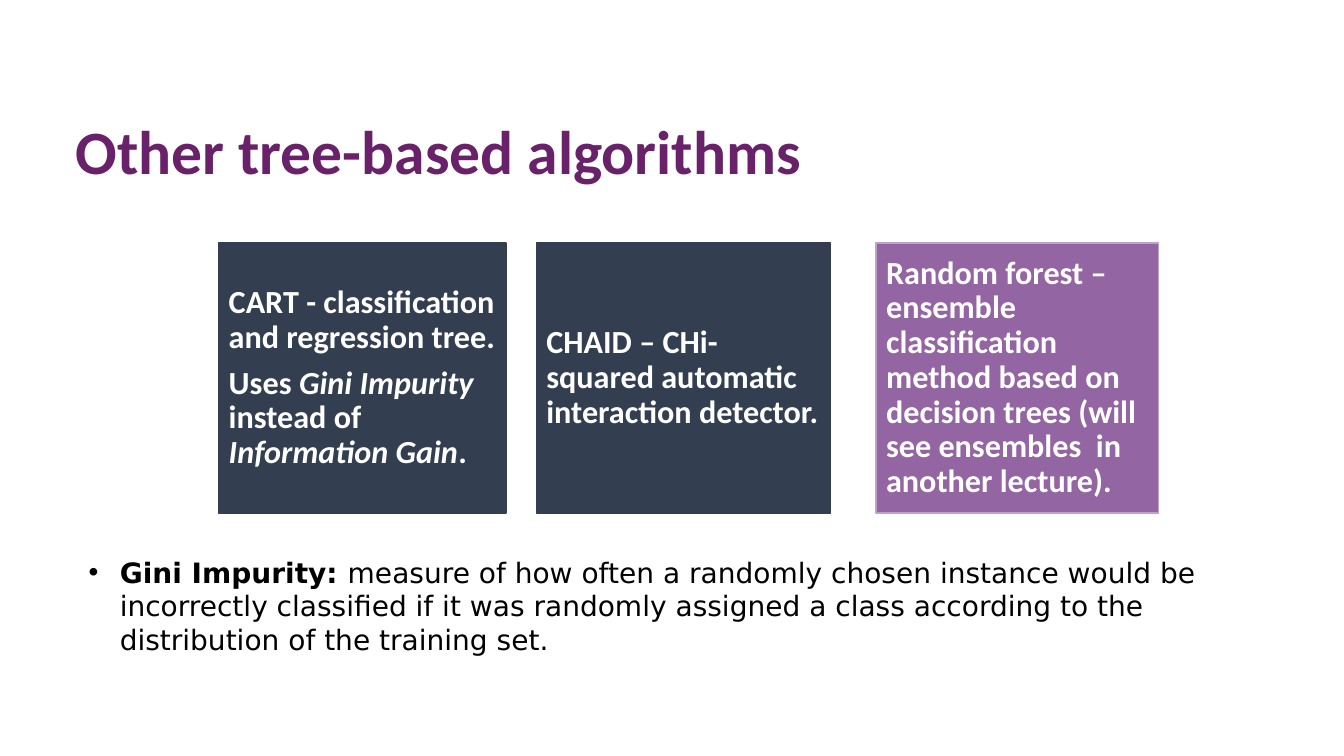
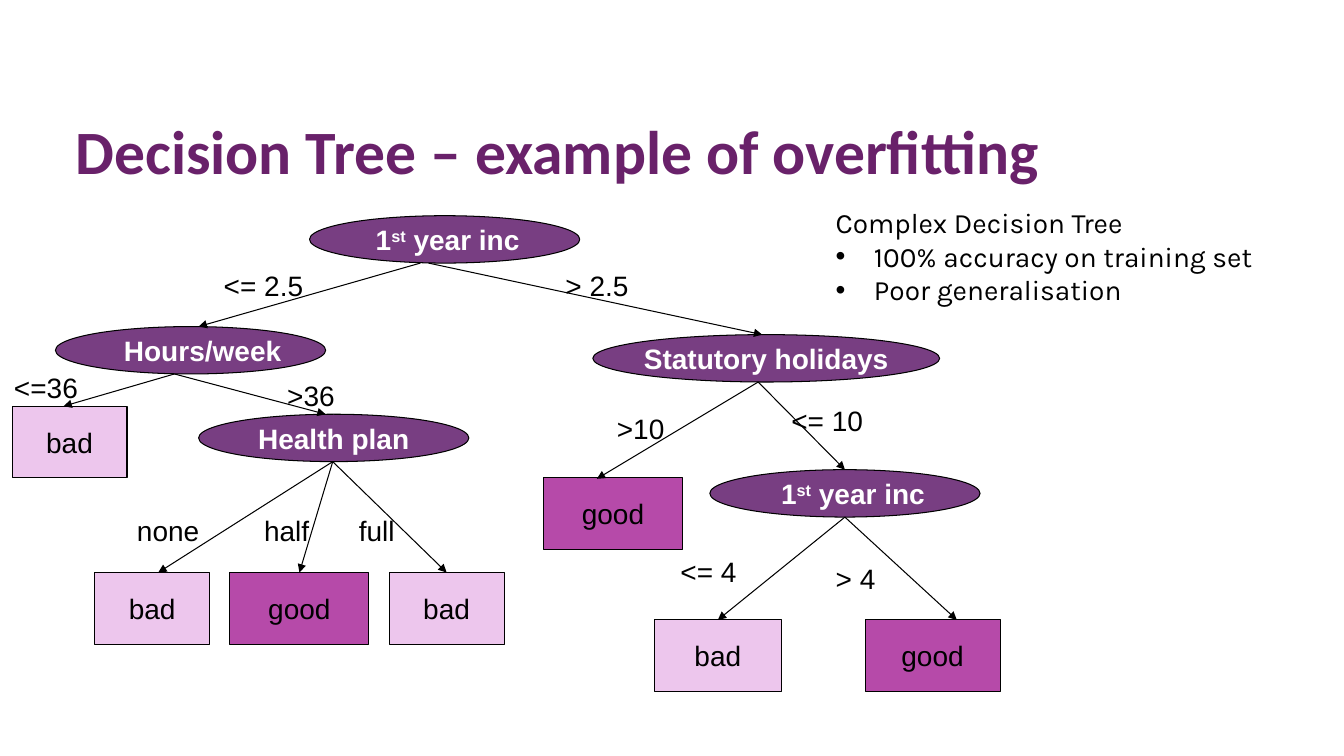
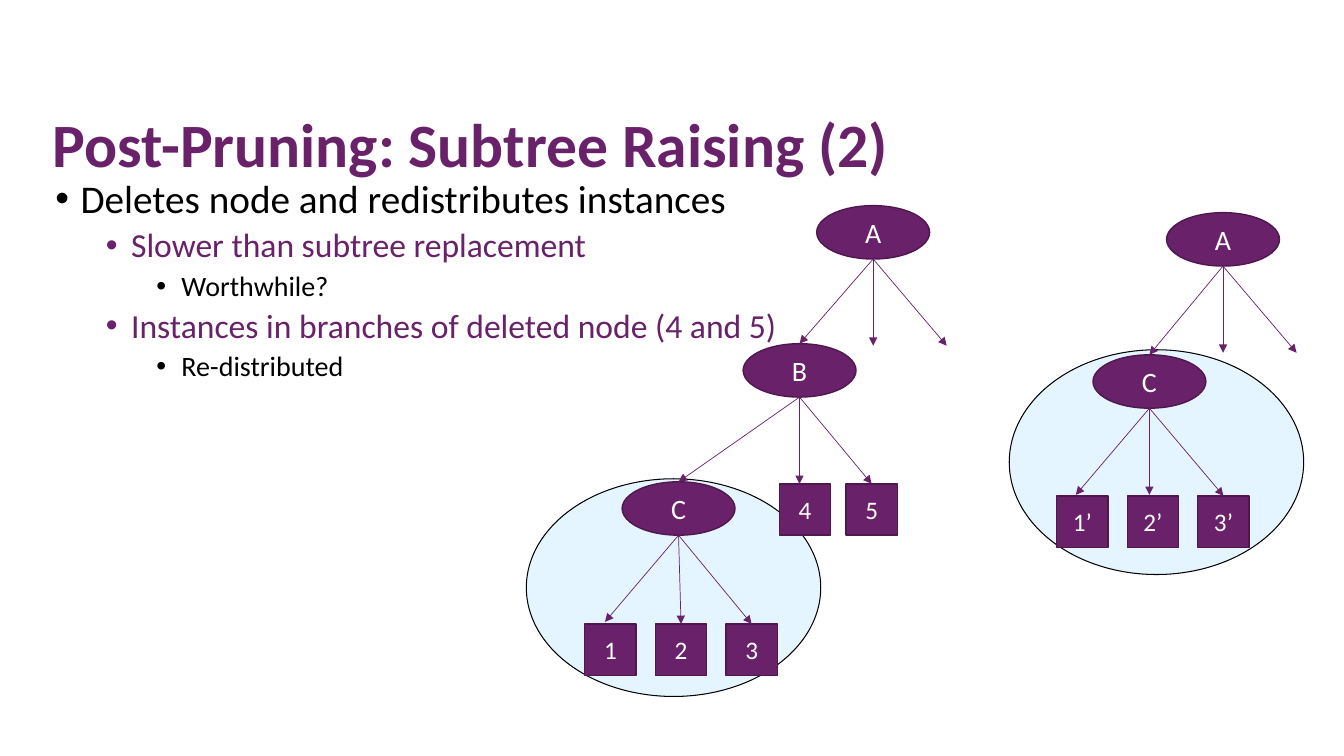
"""Build three lecture slides on decision trees, overfitting and pruning."""
import pptx
import pptx.dml.color
import pptx.enum.shapes
import pptx.enum.text
import pptx.oxml
import pptx.oxml.ns
import pptx.util
from lxml import etree

Inches, Pt = pptx.util.Inches, pptx.util.Pt
RGBColor = pptx.dml.color.RGBColor
Shape = pptx.enum.shapes.MSO_SHAPE
Align = pptx.enum.text.PP_ALIGN
Anchor = pptx.enum.text.MSO_ANCHOR
qn = pptx.oxml.ns.qn

BLACK = RGBColor(0x00, 0x00, 0x00)
WHITE = RGBColor(0xFF, 0xFF, 0xFF)
PURPLE = RGBColor(0x69, 0x21, 0x6A)
DARK_PURPLE = RGBColor(0x4E, 0x18, 0x4E)
SLATE = RGBColor(0x33, 0x3F, 0x50)
LILAC = RGBColor(0x93, 0x65, 0xA3)
LILAC_EDGE = RGBColor(0xBD, 0xA1, 0xC7)
NODE = RGBColor(0x78, 0x3E, 0x82)
BAD = RGBColor(0xED, 0xC6, 0xED)
GOOD = RGBColor(0xB6, 0x4A, 0xA9)
HALO = RGBColor(0xCC, 0xEC, 0xFF)

CARD_TOP, CARD_HEIGHT = 2.41, 2.68
CARDS = [
    (2.17, 2.85, SLATE, SLATE, [
        ["CART - classification and regression tree."],
        ["Uses ", ("Gini Impurity ", "i"), "instead of ", ("Information Gain", "i"), "."],
    ]),
    (5.32, 2.92, SLATE, SLATE, [["CHAID – CHi-squared automatic interaction detector."]]),
    (8.69, 2.8, LILAC, LILAC_EDGE, [[
        "Random forest – ensemble classification method based on decision trees "
        "(will see ensembles  in another lecture)."]]),
]
GINI = [
    ("Gini Impurity: ", "b"),
    "measure of how often a randomly chosen instance would be incorrectly classified "
    "if it was randomly assigned a class according to the distribution of the training set.",
]

FIRST_YEAR = ["1", ("st", "sup"), " year inc"]
NODE_HEIGHT, LEAF_HEIGHT = 0.47, 0.71
DECISIONS = [
    (FIRST_YEAR, 3.07, 2.14, 2.68, 0.03),
    (["Hours/week"], 0.55, 3.24, 2.68, 0.12),
    (["Statutory holidays"], 5.88, 3.32, 3.44, 0),
    (["Health plan"], 1.97, 4.11, 2.68, 0),
    (FIRST_YEAR, 7.04, 4.66, 2.68, 0.08),
]
LEAF_COLORS = {"bad": BAD, "good": GOOD}
LEAVES = [
    ("bad", 0.12, 4.03, 1.14), ("good", 5.39, 4.74, 1.38),
    ("bad", 0.94, 5.68, 1.14), ("good", 2.28, 5.68, 1.38), ("bad", 3.86, 5.68, 1.14),
    ("bad", 6.49, 6.15, 1.26), ("good", 8.58, 6.15, 1.34),
]
BRANCHES = [
    ("<= 2.5", 2.12, 2.61, (4.17, 2.61), (1.97, 3.24)),
    ("> 2.5", 5.51, 2.61, (4.25, 2.61), (7.56, 3.32)),
    ("<=36", 0.04, 3.63, (1.73, 3.71), (0.63, 4.03)),
    (">36", 2.75, 3.71, (1.73, 3.71), (3.23, 4.11)),
    (">10", 6.02, 4.03, (7.52, 3.79), (5.92, 4.75)),
    ("<= 10", 7.75, 3.95, (7.52, 3.79), (8.38, 4.66)),
    ("none", 1.26, 5.05, (3.3, 4.58), (1.57, 5.68)),
    ("half", 2.52, 5.05, (3.3, 4.58), (2.99, 5.68)),
    ("full", 3.46, 5.05, (3.3, 4.58), (4.41, 5.68)),
    ("<= 4", 6.65, 5.45, (8.38, 5.13), (7.12, 6.15)),
    ("> 4", 8.19, 5.52, (8.38, 5.13), (9.49, 6.15)),
]
NOTE = [
    ("Complex Decision Tree", False),
    ("100% accuracy on training set", True),
    ("Poor generalisation", True),
]

OUTLINE = [
    (0, "Deletes node and redistributes instances"),
    (1, "Slower than subtree replacement"),
    (2, "Worthwhile?"),
    (1, "Instances in branches of deleted node (4 and 5)"),
    (2, "Re-distributed"),
]
OUTLINE_STYLES = [(28, BLACK, 10), (24, PURPLE, 5), (20, BLACK, 5)]
HALOS = [(5.22, 4.75, 2.92, 2.16), (10.01, 3.47, 2.92, 2.23)]
SUBTREE_WIDTH, SUBTREE_HEIGHT, DROP, LEAF_SIDE = 1.12, 0.53, 0.86, 0.51
FAN = (-0.73, 0, 0.73)
SUBTREES = [
    ("A", 8.66, 2.04, FAN), ("B", 7.93, 3.41, (-1.2, 0, 0.73)), ("C", 6.73, 4.78, FAN),
    ("A", 12.13, 2.11, FAN), ("C", 11.4, 3.52, FAN),
]
LEAF_ROWS = [
    (["1", "2", "3"], 5.8, 6.19, 0.7),
    (["4", "5"], 7.73, 4.8, 0.66),
    (["1’", "2’", "3’"], 10.48, 4.92, 0.7),
]


def place(shape, left, top, width, height):
    """Move and size a shape in inches."""
    shape.left, shape.top = Inches(left), Inches(top)
    shape.width, shape.height = Inches(width), Inches(height)


def set_margins(frame, left=0, top=0, right=0, bottom=0):
    """Set the four insets of a text frame in inches."""
    frame.margin_left, frame.margin_right = Inches(left), Inches(right)
    frame.margin_top, frame.margin_bottom = Inches(top), Inches(bottom)


def add_paragraph(frame, index):
    """Return the first paragraph, or a new one after it."""
    return frame.add_paragraph() if index else frame.paragraphs[0]


def write(paragraph, runs, size, font, color, bold=None, align=None):
    """Fill a paragraph with plain or (text, style) runs."""
    paragraph.alignment = align
    paragraph.font.size, paragraph.font.name = Pt(size), font
    paragraph.font.color.rgb, paragraph.font.bold = color, bold
    for item in runs:
        text, style = (item, "") if isinstance(item, str) else item
        run = paragraph.add_run()
        run.text = text
        if style == "b":
            run.font.bold = True
        elif style == "i":
            run.font.italic = True
        elif style == "sup":
            run._r.get_or_add_rPr().set("baseline", "30000")


def add_bullet(paragraph, left, hang):
    """Give a paragraph a round bullet and a hanging indent."""
    properties = paragraph._p.get_or_add_pPr()
    properties.set("marL", str(Inches(left)))
    properties.set("indent", str(-Inches(hang)))
    etree.SubElement(properties, qn("a:buFont")).set("typeface", "Arial")
    etree.SubElement(properties, qn("a:buChar")).set("char", "•")


def add_slide(presentation, layout, title, left=0.65, top=1.12):
    """Add a slide with the shared title style."""
    slide = presentation.slides.add_slide(presentation.slide_layouts[layout])
    place(slide.shapes.title, left, top, 11.5, 0.83)
    frame = slide.shapes.title.text_frame
    frame.vertical_anchor = Anchor.MIDDLE
    write(frame.paragraphs[0], [title], 44, "Calibri", PURPLE, True, Align.LEFT)
    frame.paragraphs[0].line_spacing = 0.9
    return slide


def add_box(slide, kind, box, fill, edge, edge_width):
    """Add a filled, outlined preset shape."""
    shape = slide.shapes.add_shape(kind, *map(Inches, box))
    shape.shadow.inherit = False
    shape.fill.solid()
    shape.fill.fore_color.rgb = fill
    shape.line.color.rgb = edge
    shape.line.width = Pt(edge_width)
    shape.text_frame.vertical_anchor = Anchor.MIDDLE
    return shape


def add_node(slide, kind, box, fill, edge, edge_width, runs, size, font, color,
             bold=None, shift=0):
    """Add a tree node with one centred line of text."""
    shape = add_box(slide, kind, box, fill, edge, edge_width)
    shape.text_frame.word_wrap = False
    set_margins(shape.text_frame, left=2 * shift)
    write(shape.text_frame.paragraphs[0], runs, size, font, color, bold, Align.CENTER)
    return shape


def add_text_box(slide, left, top, width, height, wrap=True):
    """Add a text box and return its frame."""
    frame = slide.shapes.add_textbox(*map(Inches, (left, top, width, height))).text_frame
    frame.word_wrap = wrap
    return frame


def add_arrow(slide, start, end, color, width, targets):
    """Draw an arrow, joined to any target whose top middle it meets."""
    line = slide.shapes.add_connector(
        pptx.enum.shapes.MSO_CONNECTOR.STRAIGHT, *map(Inches, (*start, *end)))
    line.line.color.rgb = color
    line.line.width = Pt(width)
    etree.SubElement(line.line._get_or_add_ln(), qn("a:tailEnd")).set("type", "triangle")
    etree.SubElement(line._element.spPr, qn("a:effectLst"))
    for shape in targets:
        across = abs(shape.left + shape.width / 2 - Inches(end[0]))
        if across < Inches(0.03) and abs(shape.top - Inches(end[1])) < Inches(0.04):
            line.end_connect(shape, 0)


def build_algorithms(presentation):
    """Three cards above a definition."""
    slide = add_slide(presentation, 5, "Other tree-based algorithms")
    for left, width, fill, edge, paragraphs in CARDS:
        box = (left, CARD_TOP, width, CARD_HEIGHT)
        frame = add_box(slide, Shape.RECTANGLE, box, fill, edge, 1).text_frame
        frame.word_wrap = True
        set_margins(frame, 0.1, 0.1, 0.1, 0.1)
        for index, runs in enumerate(paragraphs):
            paragraph = add_paragraph(frame, index)
            write(paragraph, runs, 23, "Calibri", WHITE, True, Align.LEFT)
            paragraph.line_spacing, paragraph.space_after = 0.9, Pt(8)
    paragraph = add_text_box(slide, 0.78, 5.46, 11.5, 1.11).paragraphs[0]
    add_bullet(paragraph, 0.31, 0.31)
    write(paragraph, GINI, 20, "DejaVu Sans", BLACK)


def build_overfitting(presentation):
    """A full decision tree with a short note."""
    slide = add_slide(presentation, 5, "Decision Tree – example of overfitting")
    targets = []
    for runs, left, top, width, shift in DECISIONS:
        targets.append(add_node(
            slide, Shape.OVAL, (left, top, width, NODE_HEIGHT), NODE, BLACK, 0.75,
            runs, 20, "Arial", WHITE, True, shift))
    for label, left, top, width in LEAVES:
        targets.append(add_node(
            slide, Shape.RECTANGLE, (left, top, width, LEAF_HEIGHT), LEAF_COLORS[label],
            BLACK, 0.75, [label], 20, "Arial", BLACK))
    for label, left, top, start, end in BRANCHES:
        add_arrow(slide, start, end, BLACK, 0.75, targets)
        frame = add_text_box(slide, left, top, 1.09, 0.43, wrap=False)
        write(frame.paragraphs[0], [label], 20, "Arial", BLACK, align=Align.LEFT)
    frame = add_text_box(slide, 8.19, 1.99, 4.6, 1.11)
    for index, (text, bulleted) in enumerate(NOTE):
        paragraph = add_paragraph(frame, index)
        if bulleted:
            add_bullet(paragraph, 0.38, 0.38)
        write(paragraph, [text], 20, "Karla", BLACK)


def build_raising(presentation):
    """A nested list beside the tree before and after raising."""
    slide = add_slide(presentation, 1, "Post-Pruning: Subtree Raising (2)", 0.42, 1.05)
    body = slide.placeholders[1]
    place(body, 0.45, 1.73, 11.5, 4.44)
    for index, (level, text) in enumerate(OUTLINE):
        size, color, before = OUTLINE_STYLES[level]
        paragraph = add_paragraph(body.text_frame, index)
        paragraph.level = level
        add_bullet(paragraph, 0.25 + 0.5 * level, 0.25)
        write(paragraph, [text], size, "Calibri", color)
        paragraph.line_spacing, paragraph.space_before = 0.9, Pt(before)
    for box in HALOS:
        halo = add_box(slide, Shape.OVAL, box, HALO, BLACK, 0.75)
        color = halo._element.spPr.find(qn("a:solidFill"))[0]
        etree.SubElement(color, qn("a:alpha")).set("val", "50000")
    targets = []
    for label, center, top, _ in SUBTREES:
        box = (center - SUBTREE_WIDTH / 2, top, SUBTREE_WIDTH, SUBTREE_HEIGHT)
        targets.append(add_node(slide, Shape.OVAL, box, PURPLE, DARK_PURPLE, 1,
                                [label], 20, "Calibri", WHITE))
    for labels, left, top, step in LEAF_ROWS:
        for index, label in enumerate(labels):
            box = (left + index * step, top, LEAF_SIDE, LEAF_SIDE)
            targets.append(add_node(slide, Shape.RECTANGLE, box, PURPLE, DARK_PURPLE, 1,
                                    [label], 18, "Calibri", WHITE))
    for _, center, top, offsets in SUBTREES:
        bottom = top + SUBTREE_HEIGHT
        for offset in offsets:
            add_arrow(slide, (center, bottom), (center + offset, bottom + DROP),
                      PURPLE, 0.5, targets)


def main():
    """Build and save the presentation."""
    presentation = pptx.Presentation()
    presentation.slide_width, presentation.slide_height = Inches(13.33), Inches(7.5)
    build_algorithms(presentation)
    build_overfitting(presentation)
    build_raising(presentation)
    presentation.save("out.pptx")


if __name__ == "__main__":
    main()
